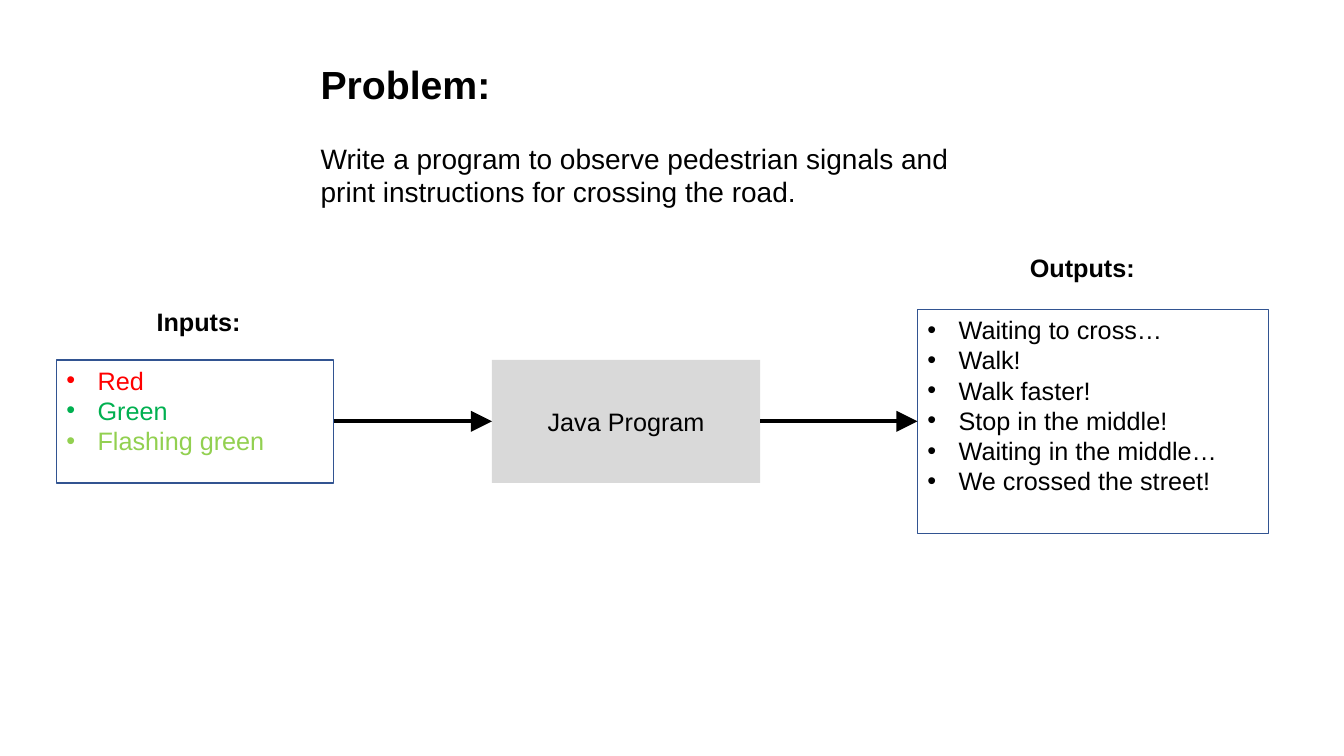
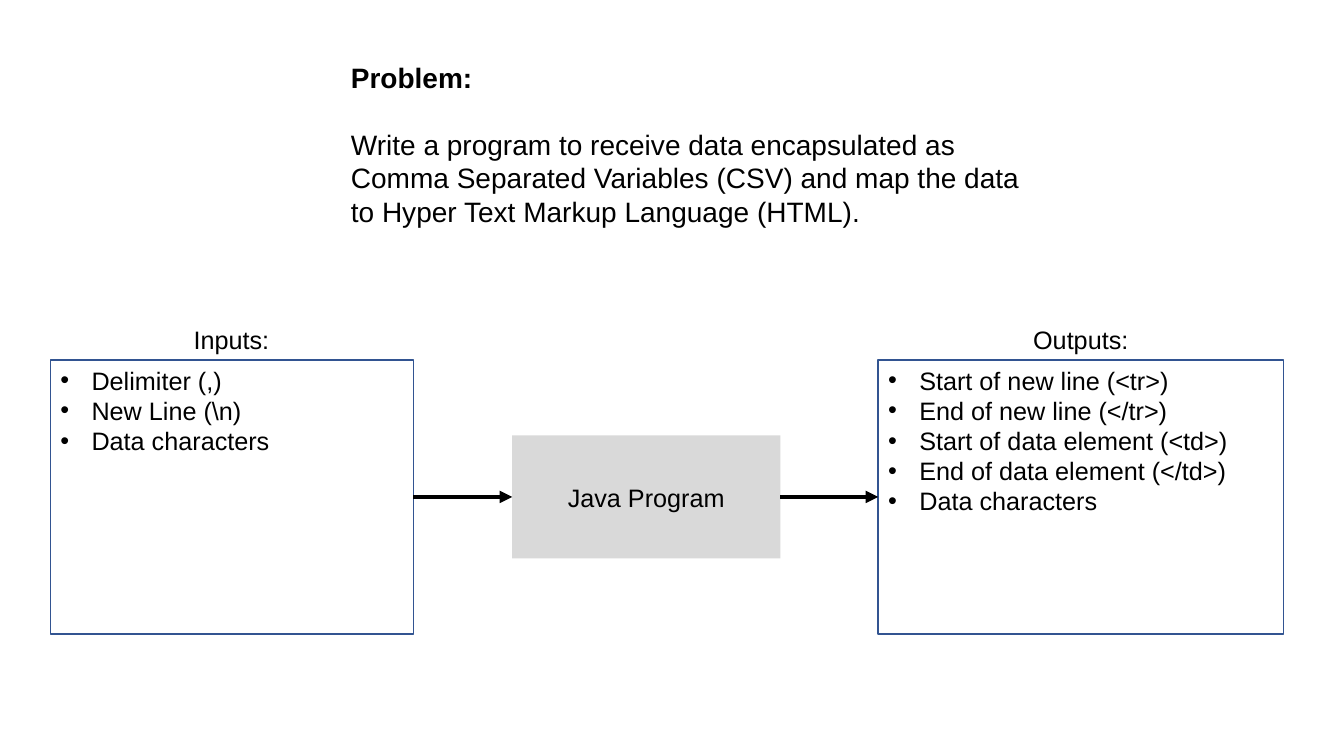
from lxml import etree
from pptx import Presentation
from pptx.dml.color import RGBColor
from pptx.enum.shapes import MSO_CONNECTOR, MSO_SHAPE
from pptx.enum.text import MSO_ANCHOR, MSO_AUTO_SIZE, PP_ALIGN
from pptx.oxml.ns import qn
from pptx.util import Emu, Pt

RECTANGLE = MSO_SHAPE.RECTANGLE
STRAIGHT = MSO_CONNECTOR.STRAIGHT
LEFT, CENTER = PP_ALIGN.LEFT, PP_ALIGN.CENTER
TOP, MIDDLE = MSO_ANCHOR.TOP, MSO_ANCHOR.MIDDLE
NO_AUTOFIT = MSO_AUTO_SIZE.NONE
LEFT_SIDE, RIGHT_SIDE = 1, 3

EMU_PER_PX = 9144
FONT = "Arial"
BLACK, GREY, BLUE = "000000", "D9D9D9", "325491"
RED, GREEN, LIME = "FF0000", "00B050", "92D050"
TEXT_SIZE, BODY_SIZE = 18, 20
LINE_HEIGHT = 1.2
HEADING_TOP, HEADING_WIDTH = 55, 703
LABEL_HEIGHT = 40
BULLET_INDENT = 31


def px(length):
    """Turn a length in px into EMU."""
    return Emu(length * EMU_PER_PX)


def rgb(color):
    """Turn a hex string into a colour."""
    return RGBColor.from_string(color)


def place(shape, left, top, width, height):
    """Move and size a shape."""
    shape.left, shape.top = px(left), px(top)
    shape.width, shape.height = px(width), px(height)


def format_para(para, size=TEXT_SIZE, color=BLACK, bold=False, align=LEFT):
    """Set the spacing, alignment and font of a paragraph."""
    para.alignment = align
    para.line_spacing = Pt(size * LINE_HEIGHT)
    para.space_before = para.space_after = Pt(0)
    for span in para.runs:
        span.font.name = FONT
        span.font.size = Pt(size)
        span.font.bold = bold
        span.font.color.rgb = rgb(color)


def set_bullet(para, symbol=None):
    """Give a paragraph a hanging bullet, or none at all."""
    indent = px(BULLET_INDENT) if symbol else 0
    props = para._p.get_or_add_pPr()
    props.set("marL", str(indent))
    props.set("indent", str(-indent))
    if symbol:
        etree.SubElement(props, qn("a:buFont"), typeface=FONT)
        etree.SubElement(props, qn("a:buChar"), char=symbol)
    else:
        etree.SubElement(props, qn("a:buNone"))


def fill_placeholder(holder, text, size, bold):
    """Write one plain paragraph into a placeholder."""
    frame = holder.text_frame
    frame.text = text
    frame.word_wrap = True
    frame.auto_size = NO_AUTOFIT
    frame.vertical_anchor = TOP
    format_para(frame.paragraphs[0], size, bold=bold)
    set_bullet(frame.paragraphs[0])


def add_heading(page, left, title_size, problem):
    """Fill the title and, one blank line lower, the body."""
    title, body = page.shapes.title, page.placeholders[1]
    gap = (title_size + BODY_SIZE) * 5 // 3
    place(title, left, HEADING_TOP, HEADING_WIDTH, gap - 20)
    place(body, left, HEADING_TOP + gap, HEADING_WIDTH, 110)
    fill_placeholder(title, "Problem:", title_size, True)
    fill_placeholder(body, problem, BODY_SIZE, False)


def add_label(page, text, left, top, width, bold):
    """Add a centred caption for a list box."""
    label = page.shapes.add_textbox(px(left), px(top), px(width), px(LABEL_HEIGHT))
    label.text_frame.text = text
    label.text_frame.word_wrap = False
    format_para(label.text_frame.paragraphs[0], bold=bold, align=CENTER)


def add_box(page, area, anchor):
    """Add a bare rectangle."""
    box = page.shapes.add_shape(RECTANGLE, *map(px, area))
    box.shadow.inherit = False
    box.text_frame.word_wrap = True
    box.text_frame.vertical_anchor = anchor
    return box


def add_program(page, area):
    """Add the grey program block."""
    box = add_box(page, area, MIDDLE)
    box.fill.solid()
    box.fill.fore_color.rgb = rgb(GREY)
    box.line.fill.background()
    box.text_frame.text = "Java Program"
    format_para(box.text_frame.paragraphs[0], align=CENTER)
    return box


def add_list_box(page, area, items, colors=None):
    """Add an outlined box with a bulleted list."""
    box = add_box(page, area, TOP)
    box.fill.background()
    box.line.color.rgb = rgb(BLUE)
    box.line.width = Pt(1)
    box.text_frame.text = "\n".join(items)
    colors = colors or [BLACK] * len(items)
    for para, color in zip(box.text_frame.paragraphs, colors):
        format_para(para, color=color)
        set_bullet(para, "•")
    return box


def add_arrow(page, source, target, head):
    """Join two boxes with an arrow from left to right."""
    arrow = page.shapes.add_connector(STRAIGHT, 0, 0, 0, 0)
    arrow.begin_connect(source, RIGHT_SIDE)
    arrow.end_connect(target, LEFT_SIDE)
    arrow.line.color.rgb = rgb(BLACK)
    arrow.line.width = Pt(3)
    etree.SubElement(arrow.line._get_or_add_ln(), qn("a:tailEnd"),
                     type="triangle", w=head, len=head)
    etree.SubElement(arrow._element.spPr, qn("a:effectLst"))


def add_flow(page, inputs, program, outputs, head):
    """Chain the three boxes with arrows."""
    add_arrow(page, inputs, program, head)
    add_arrow(page, program, outputs, head)


def add_signal_page(page):
    """Build the pedestrian signal problem."""
    add_heading(page, 308, 28, "Write a program to observe pedestrian signals and "
                "print instructions for crossing the road.")
    add_label(page, "Inputs:", 135, 299, 124, True)
    add_label(page, "Outputs:", 1011, 245, 125, True)
    inputs = add_list_box(page, (56, 357, 275, 122),
                          ["Red", "Green", "Flashing green"], [RED, GREEN, LIME])
    program = add_program(page, (488, 357, 266, 122))
    outputs = add_list_box(page, (910, 307, 348, 222), [
        "Waiting to cross…", "Walk!", "Walk faster!", "Stop in the middle!",
        "Waiting in the middle…", "We crossed the street!"])
    add_flow(page, inputs, program, outputs, "lg")


def add_markup_page(page):
    """Build the CSV to HTML problem."""
    add_heading(page, 338, 20, "Write a program to receive data encapsulated as "
                "Comma Separated Variables (CSV) and map the data "
                "to Hyper Text Markup Language (HTML).")
    add_label(page, "Inputs:", 180, 317, 99, False)
    add_label(page, "Outputs:", 1014, 317, 116, False)
    inputs = add_list_box(page, (50, 357, 360, 272),
                          ["Delimiter (,)", "New Line (\\n)", "Data characters"])
    program = add_program(page, (508, 432, 266, 122))
    outputs = add_list_box(page, (871, 357, 402, 272), [
        "Start of new line (<tr>)", "End of new line (</tr>)",
        "Start of data element (<td>)", "End of data element (</td>)",
        "Data characters"])
    add_flow(page, inputs, program, outputs, "med")


def main():
    """Build and save the deck."""
    deck = Presentation()
    deck.slide_width, deck.slide_height = px(1333), px(750)
    for build in (add_signal_page, add_markup_page):
        build(deck.slides.add_slide(deck.slide_layouts[1]))
    deck.save("out.pptx")


if __name__ == "__main__":
    main()
